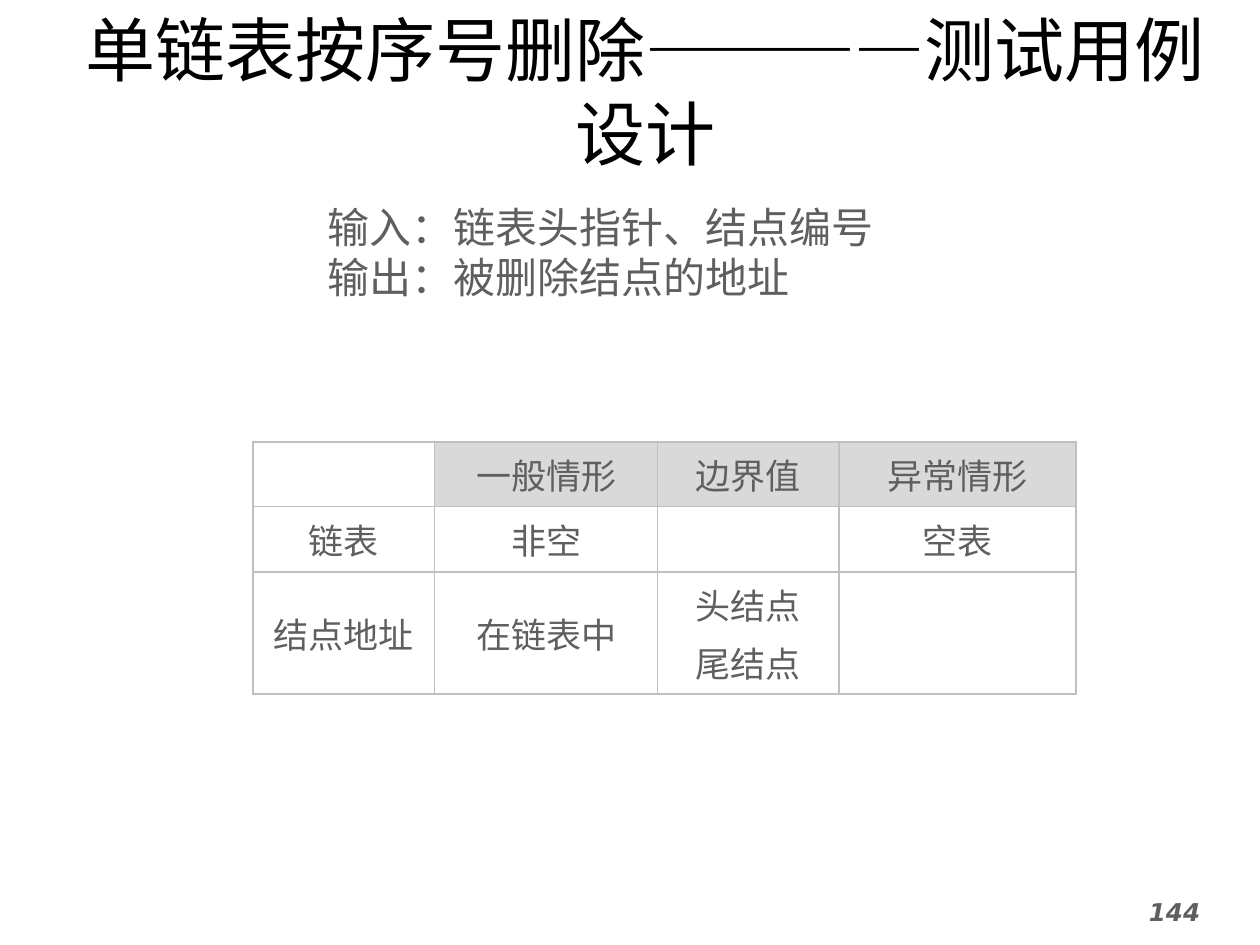
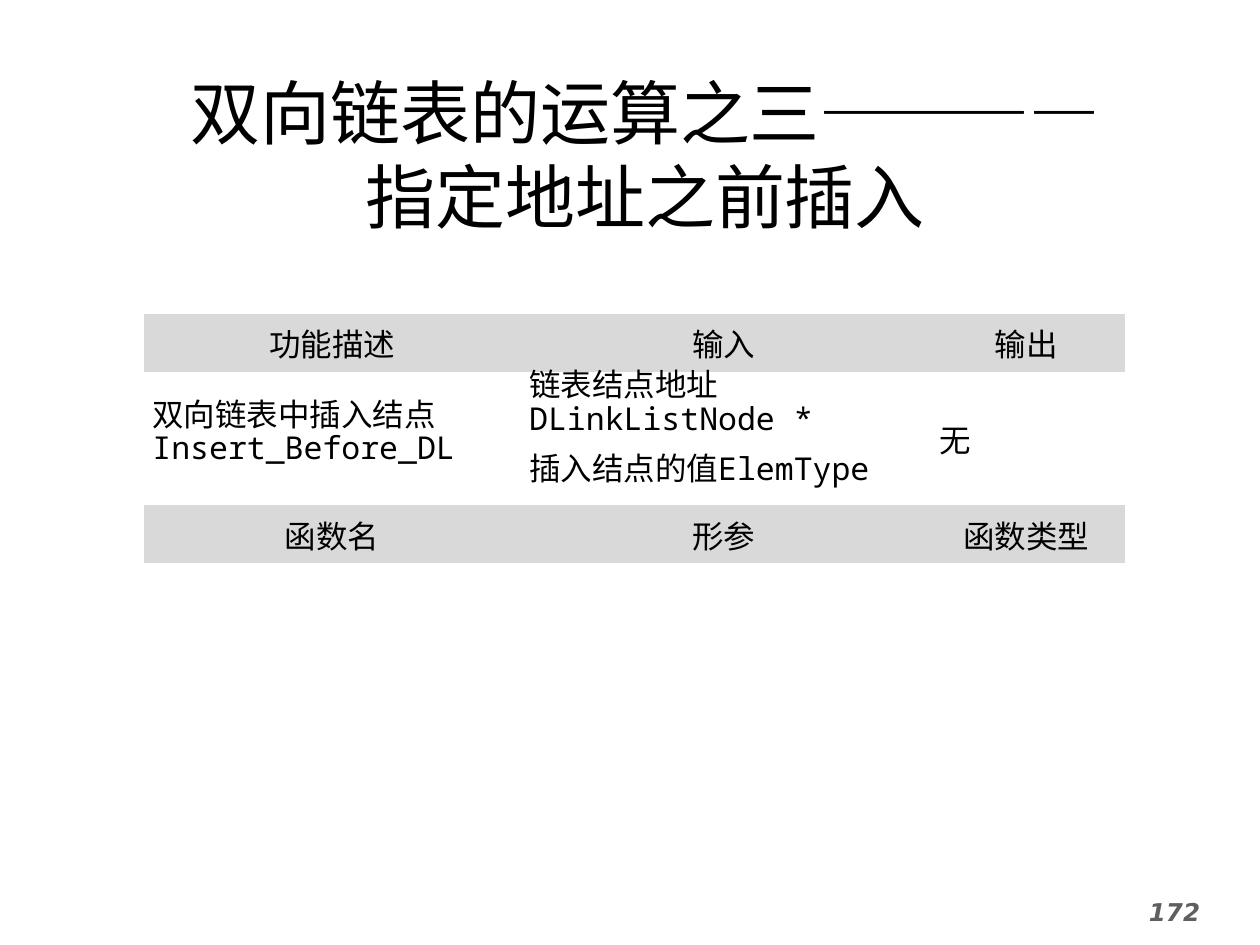
from dataclasses import dataclass

from lxml import etree
from pptx import Presentation
from pptx.dml.color import RGBColor as RGB
from pptx.enum.text import MSO_ANCHOR as ANCHOR, MSO_AUTO_SIZE as AUTO, PP_ALIGN as ALIGN
from pptx.oxml.ns import qn
from pptx.util import Inches, Pt


@dataclass(frozen=True)
class Theme:
    black: str = "000000"
    gray: str = "5F5F5F"
    white: str = "FFFFFF"
    header: str = "D9D9D9"
    border: str = "C0C0C0"
    title_font: str = "Courier New"
    body_font: str = "Noto Sans CJK SC"
    mono_font: str = "Noto Sans Mono"
    number_font: str = "DejaVu Sans"
    title_size: int = 40
    body_size: int = 24
    grid_size: int = 20
    mono_size: int = 18
    number_size: int = 14


T = Theme()


def style_text(tf, size, font, color, align=ALIGN.LEFT):
    """Give every run of a text frame one look, with a CJK face beside the Latin one."""
    for p in tf.paragraphs:
        p.alignment = align
        for r in p.runs:
            r.font.size = Pt(size)
            r.font.name = font
            r.font.color.rgb = RGB.from_string(color)
            ea = etree.SubElement(r.font._element, qn("a:ea"))
            ea.set("typeface", T.body_font)


def style_cell(cell, fill, border=None):
    """Fill a cell and draw its four borders, or none."""
    cell.fill.solid()
    cell.fill.fore_color.rgb = RGB.from_string(fill)
    cell.vertical_anchor = ANCHOR.MIDDLE
    tc_pr = cell._tc.get_or_add_tcPr()
    for i, side in enumerate("LRTB"):
        ln = etree.Element(qn(f"a:ln{side}"), w=str(Pt(1) if border else 0))
        if border:
            solid = etree.SubElement(ln, qn("a:solidFill"))
            etree.SubElement(solid, qn("a:srgbClr"), val=border)
        else:
            etree.SubElement(ln, qn("a:noFill"))
        tc_pr.insert(i, ln)


prs = Presentation()
prs.slide_width, prs.slide_height = Inches(10), Inches(7.5)

# Titles, page numbers and table frames
pages = [
    dict(title="单链表按序号删除————测试用例设计", top=0.33, height=0.77, number="144",
         grid=(2.01, 3.51), cols=[1.44, 1.77, 1.44, 1.88], rows=[0.51, 0.52, 0.97]),
    dict(title="双向链表的运算之三————\n指定地址之前插入", top=0.49, height=1.45, number="172",
         grid=(1.14, 2.49), cols=[2.99, 3.23, 1.57], rows=[0.46, 0.59, 0.47, 0.46]),
]
slides, tables = [], []
for page in pages:
    s = prs.slides.add_slide(prs.slide_layouts[5])
    slides.append(s)

    sp = s.shapes.title
    sp.left, sp.top = Inches(0.35), Inches(page["top"])
    sp.width, sp.height = Inches(9.54), Inches(page["height"])
    tf = sp.text_frame
    tf.paragraphs[0].text = page["title"]
    tf.vertical_anchor = ANCHOR.MIDDLE
    tf.auto_size = AUTO.SHAPE_TO_FIT_TEXT
    style_text(tf, T.title_size, T.title_font, T.black, ALIGN.CENTER)

    tf = s.shapes.add_textbox(Inches(9.02), Inches(7.07), Inches(1.02), Inches(0.43)).text_frame
    tf.word_wrap = True
    tf.text = page["number"]
    style_text(tf, T.number_size, T.number_font, T.gray)
    font = tf.paragraphs[0].runs[0].font
    font.bold = font.italic = True

    left, top = page["grid"]
    cols, rows = page["cols"], page["rows"]
    table = s.shapes.add_table(len(rows), len(cols), Inches(left), Inches(top),
                               Inches(sum(cols)), Inches(sum(rows))).table
    table.first_row = table.horz_banding = False
    for column, width in zip(table.columns, cols):
        column.width = Inches(width)
    for row, height in zip(table.rows, rows):
        row.height = Inches(height)
    tables.append(table)

# Slide 1: input and output of the deletion
tf = slides[0].shapes.add_textbox(Inches(2.5), Inches(1.55), Inches(5), Inches(0.91)).text_frame
tf.word_wrap = True
tf.auto_size = AUTO.SHAPE_TO_FIT_TEXT
tf.text = "输入：链表头指针、结点编号\n输出：被删除结点的地址"
style_text(tf, T.body_size, T.body_font, T.gray)

# Slide 1: test case table
test_cases = [
    ["", "一般情形", "边界值", "异常情形"],
    ["链表", "非空", "", "空表"],
    ["结点地址", "在链表中", "头结点\n尾结点", ""],
]
for i, row in enumerate(test_cases):
    for j, text in enumerate(row):
        cell = tables[0].cell(i, j)
        style_cell(cell, T.header if i == 0 and j > 0 else T.white, T.border)
        cell.text_frame.text = text
        style_text(cell.text_frame, T.grid_size, T.body_font, T.gray, ALIGN.CENTER)
        for p in cell.text_frame.paragraphs[1:]:
            p.space_before = Pt(0.2 * T.grid_size)

# Slide 2: function description table
function_rows = [
    ["功能描述", "输入", "输出"],
    ["双向链表中插入结点\nInsert_Before_DL", "链表结点地址\nDLinkListNode *", "无"],
    ["", "插入结点的值ElemType", ""],
    ["函数名", "形参", "函数类型"],
]
for i, row in enumerate(function_rows):
    is_header = i in (0, 3)
    for j, text in enumerate(row):
        cell = tables[1].cell(i, j)
        style_cell(cell, T.header if is_header else T.white)
        tf = cell.text_frame
        tf.text = text
        style_text(tf, T.mono_size, T.mono_font, T.black,
                   ALIGN.CENTER if is_header else ALIGN.LEFT)
        if not is_header and j < 2:
            cell.margin_left = cell.margin_right = Inches(0.07)
            cell.margin_top = cell.margin_bottom = 0
            for p in tf.paragraphs:
                p.line_spacing = Pt(15.6)
        for p in tf.paragraphs[1:]:
            p.space_before = Pt(0.2 * T.mono_size)
for j in (0, 2):
    tables[1].cell(1, j).merge(tables[1].cell(2, j))

prs.save("out.pptx")
